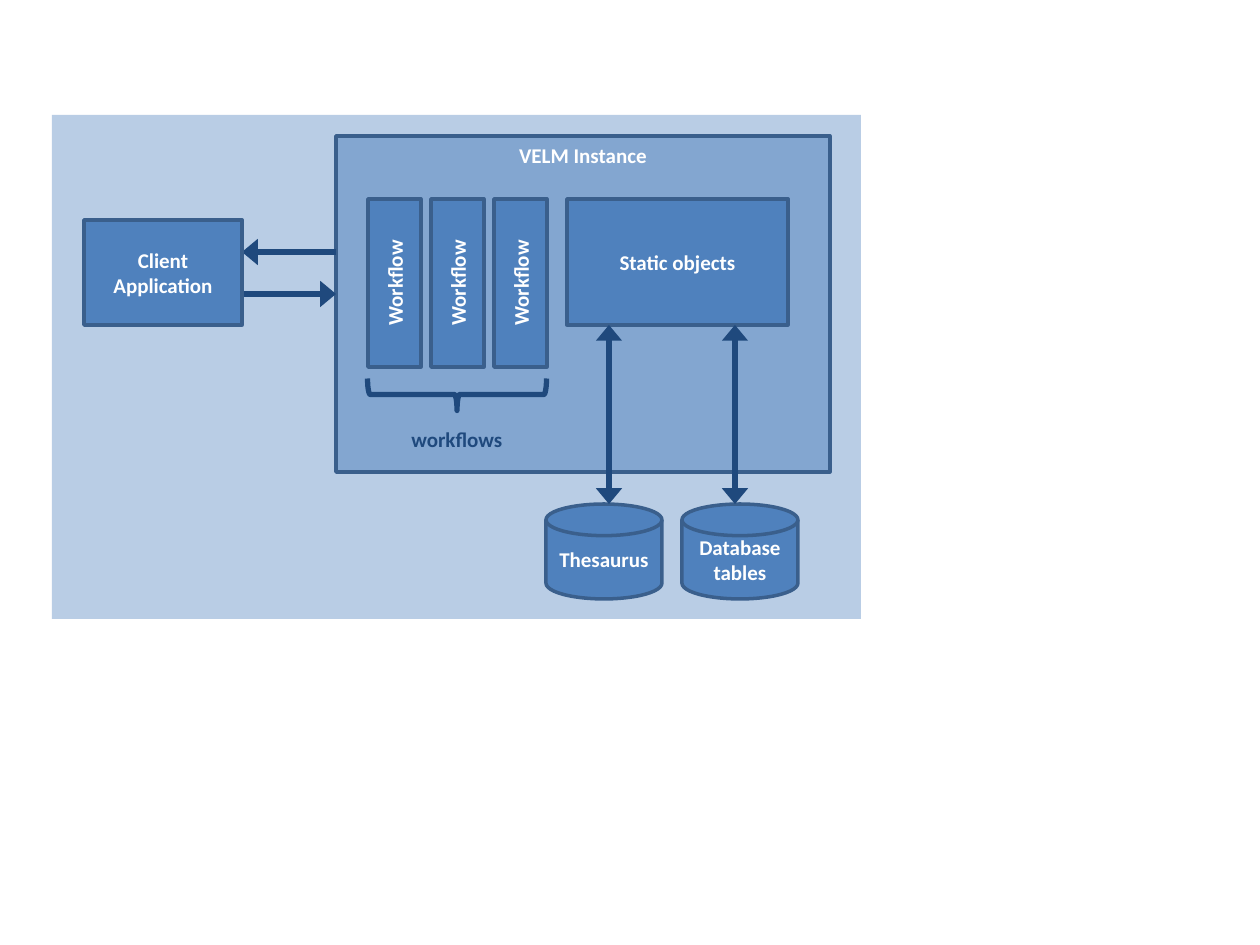
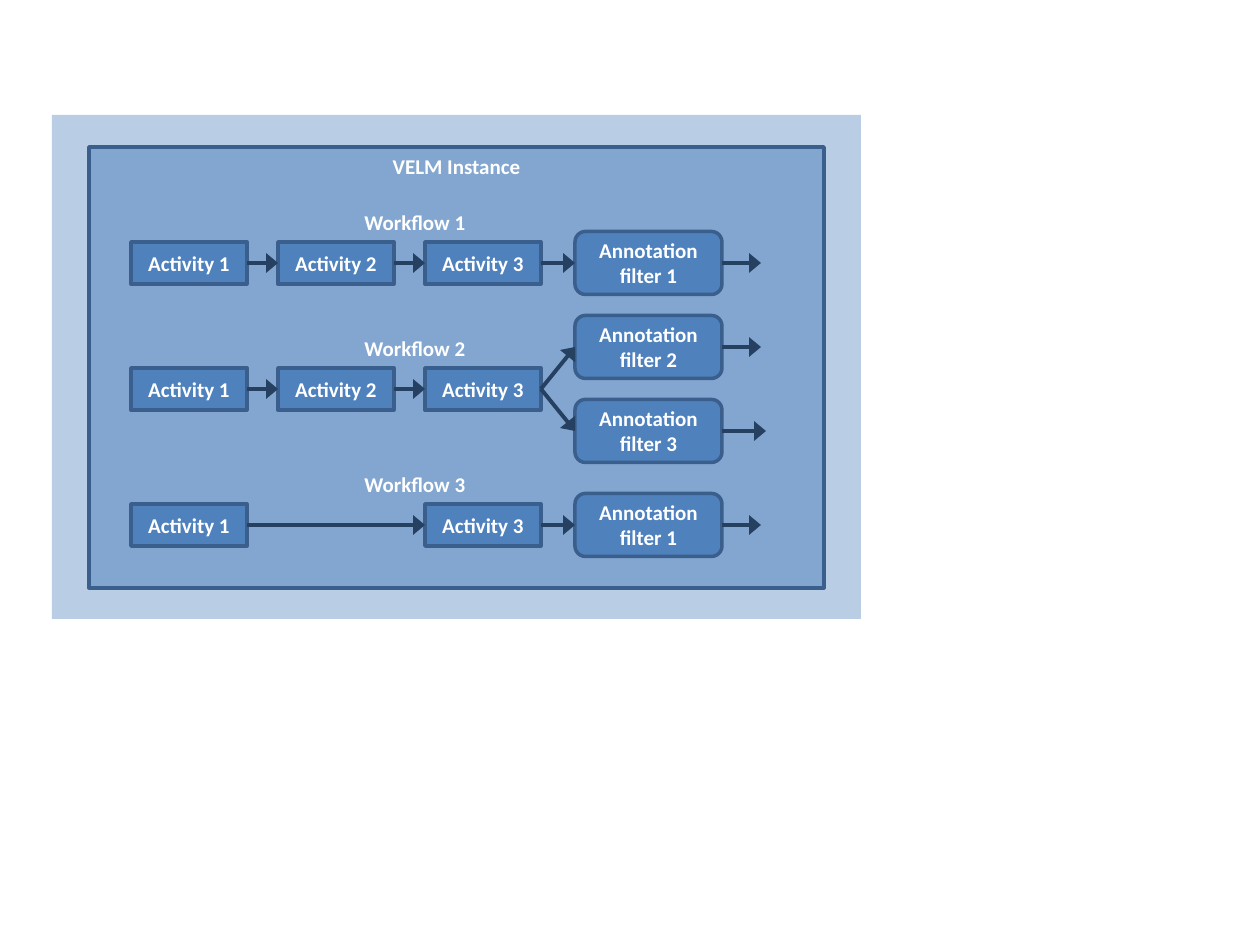
from lxml.etree import SubElement
from pptx import Presentation
from pptx.dml.color import RGBColor
from pptx.enum.shapes import MSO_CONNECTOR, MSO_SHAPE as SHAPE
from pptx.enum.text import MSO_ANCHOR as ANCHOR, MSO_AUTO_SIZE, PP_ALIGN as ALIGN
from pptx.oxml.ns import qn
from pptx.util import Pt

SCALE = 914400 / 126
PANEL = RGBColor(0xB9, 0xCD, 0xE5)
BLUE = RGBColor(0x4F, 0x81, 0xBD)
BORDER = RGBColor(0x3A, 0x5F, 0x8C)
NAVY = RGBColor(0x1F, 0x49, 0x7D)
DARK = RGBColor(0x25, 0x40, 0x61)
WHITE = RGBColor(0xFF, 0xFF, 0xFF)
FONT = "Calibri"


def emu(*pixels):
    return [round(value * SCALE) for value in pixels]


def write_text(shape, text, color=WHITE, align=ALIGN.CENTER,
               anchor=ANCHOR.MIDDLE, vertical=False):
    frame = shape.text_frame
    frame.word_wrap = True
    frame.vertical_anchor = anchor
    if vertical:
        frame._txBody.bodyPr.set("vert", "vert270")
    paragraph = frame.paragraphs[0]
    paragraph.alignment = align
    run = paragraph.add_run()
    run.text = text
    run.font.name = FONT
    run.font.size = Pt(12)
    run.font.bold = True
    run.font.color.rgb = color


def add_box(shapes, kind, place, text=None, fill=BLUE, border=BORDER,
            weight=2, opacity=None, **text_format):
    shape = shapes.add_shape(kind, *emu(*place))
    shape.shadow.inherit = False
    if fill is None:
        shape.fill.background()
    else:
        shape.fill.solid()
        shape.fill.fore_color.rgb = fill
    if opacity is not None:
        color = shape._element.spPr.find(qn("a:solidFill")).find(qn("a:srgbClr"))
        SubElement(color, qn("a:alpha"), val=str(opacity * 1000))
    if border is None:
        shape.line.fill.background()
    else:
        shape.line.color.rgb = border
        shape.line.width = Pt(weight)
    if text:
        write_text(shape, text, **text_format)
    return shape


def add_label(shapes, place, text, color=WHITE):
    label = shapes.add_textbox(*emu(*place))
    write_text(label, text, color=color, align=ALIGN.LEFT, anchor=ANCHOR.TOP)
    label.text_frame.auto_size = MSO_AUTO_SIZE.SHAPE_TO_FIT_TEXT


def add_arrow(shapes, start, end, color, weight, both_ends=False):
    arrow = shapes.add_connector(MSO_CONNECTOR.STRAIGHT, *emu(*start, *end))
    arrow.line.color.rgb = color
    arrow.line.width = Pt(weight)
    line = arrow.line._get_or_add_ln()
    for tag in ["a:headEnd", "a:tailEnd"] if both_ends else ["a:tailEnd"]:
        SubElement(line, qn(tag), type="triangle", w="lg", len="med")
    SubElement(arrow._element.spPr, qn("a:effectLst"))


def add_panel_slide(presentation):
    slide = presentation.slides.add_slide(presentation.slide_layouts[6])
    add_box(slide.shapes, SHAPE.RECTANGLE, (52, 115, 809, 504),
            fill=PANEL, border=None)
    return slide


def add_instance(shapes, place):
    add_box(shapes, SHAPE.RECTANGLE, place, "VELM Instance",
            opacity=50, anchor=ANCHOR.TOP)


def build_architecture(presentation):
    shapes = add_panel_slide(presentation).shapes
    add_instance(shapes, (336, 136, 494, 336))
    for left, store in [(546, "Thesaurus"), (682, "Database tables")]:
        add_box(shapes, SHAPE.FLOWCHART_MAGNETIC_DISK,
                (left, 504, 116, 95), store)
    for column in range(3):
        add_box(shapes, SHAPE.RECTANGLE, (368 + 63 * column, 199, 53, 168),
                "Workflow", vertical=True)
    brace = add_box(shapes, SHAPE.RIGHT_BRACE, (441, 305, 32, 179),
                    fill=None, border=NAVY, weight=3)
    brace.rotation = 90
    add_label(shapes, (399, 420, 126, 38), "workflows", color=NAVY)
    add_box(shapes, SHAPE.RECTANGLE, (567, 199, 221, 126), "Static objects")
    for x in (609, 735):
        add_arrow(shapes, (x, 504), (x, 325), NAVY, 3, both_ends=True)
    add_arrow(shapes, (336, 252), (242, 252), NAVY, 3)
    add_arrow(shapes, (242, 294), (336, 294), NAVY, 3)
    add_box(shapes, SHAPE.RECTANGLE, (84, 220, 158, 105), "Client Application")


def add_workflow(shapes, number, middle, activities, filters):
    first_left, step, width, height = 131, 147, 116, 42
    filter_left, filter_width, filter_height = 575, 147, 63
    add_label(shapes, (352, middle - 60, 136, 38), f"Workflow {number}")
    lefts = [first_left + step * (activity - 1) for activity in activities]
    for activity, left in zip(activities, lefts):
        add_box(shapes, SHAPE.RECTANGLE,
                (left, middle - height / 2, width, height),
                f"Activity {activity}")
    for left, next_left in zip(lefts, lefts[1:]):
        add_arrow(shapes, (left + width, middle), (next_left, middle), DARK, 2.25)
    for filter_number, filter_middle, output_end in filters:
        add_box(shapes, SHAPE.FLOWCHART_ALTERNATE_PROCESS,
                (filter_left, filter_middle - filter_height / 2,
                 filter_width, filter_height),
                f"Annotation filter {filter_number}")
        add_arrow(shapes, (lefts[-1] + width, middle),
                  (filter_left, filter_middle), DARK, 2.25)
        add_arrow(shapes, (filter_left + filter_width, filter_middle),
                  (output_end, filter_middle), DARK, 2.25)


def build_workflows(presentation):
    shapes = add_panel_slide(presentation).shapes.add_group_shape().shapes
    add_instance(shapes, (89, 147, 735, 441))
    add_workflow(shapes, 1, 263, [1, 2, 3], [(1, 263, 761)])
    add_workflow(shapes, 2, 389, [1, 2, 3], [(2, 347, 761), (3, 431, 766)])
    add_workflow(shapes, 3, 525, [1, 3], [(1, 525, 761)])


def main():
    presentation = Presentation()
    presentation.slide_width, presentation.slide_height = emu(1260, 945)
    build_architecture(presentation)
    build_workflows(presentation)
    presentation.save("out.pptx")


main()
